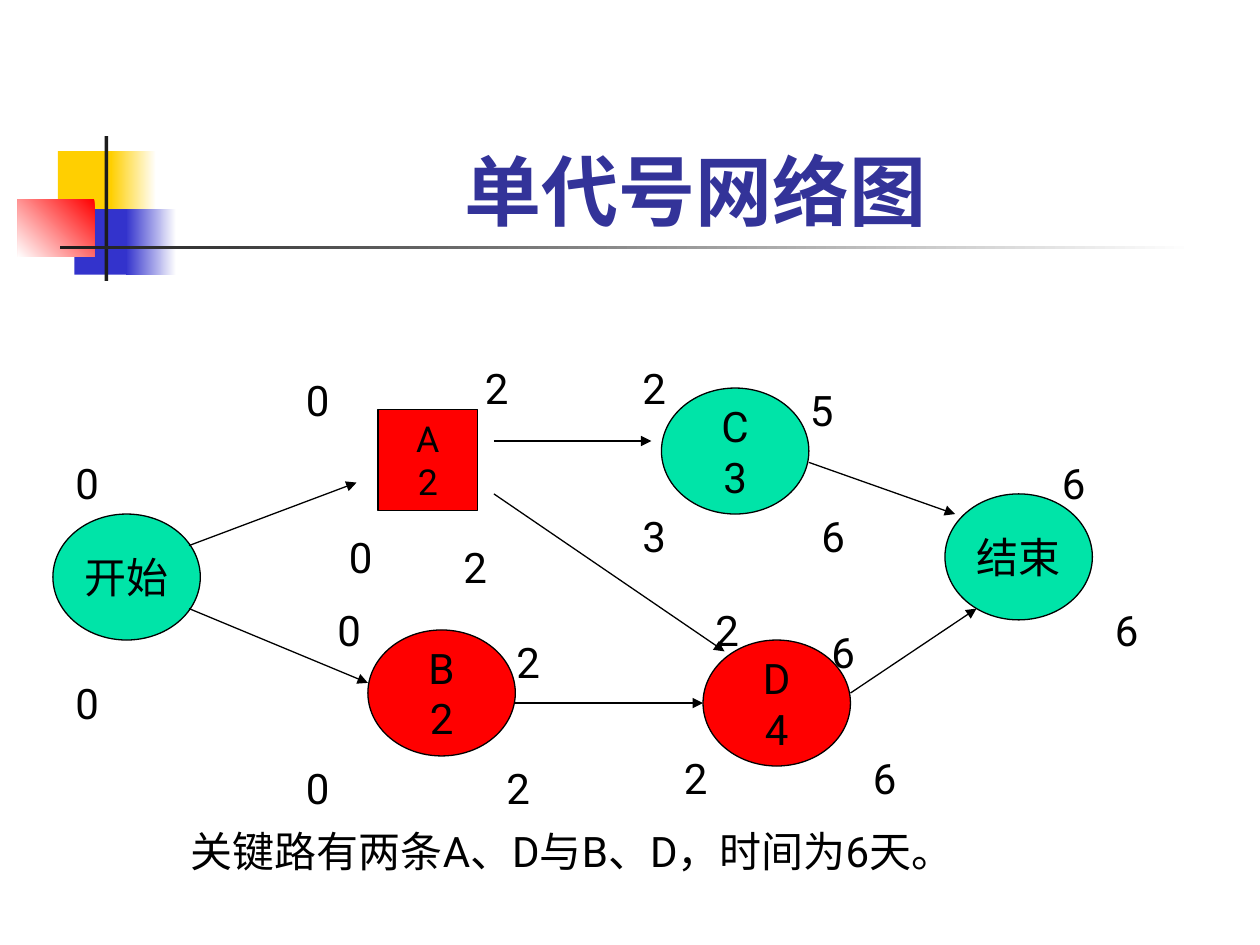
from lxml import etree
from pptx import Presentation
from pptx.dml.color import RGBColor
from pptx.enum.shapes import MSO_CONNECTOR, MSO_SHAPE
from pptx.enum.text import MSO_ANCHOR, PP_ALIGN
from pptx.oxml.ns import qn
from pptx.util import Inches, Pt

RECT, OVAL = MSO_SHAPE.RECTANGLE, MSO_SHAPE.OVAL
LEFT, CENTER = PP_ALIGN.LEFT, PP_ALIGN.CENTER
TOP, MIDDLE, BOTTOM = MSO_ANCHOR.TOP, MSO_ANCHOR.MIDDLE, MSO_ANCHOR.BOTTOM
STRAIGHT = MSO_CONNECTOR.STRAIGHT

FONT = "Roboto"
BLACK, WHITE, DARK = "000000", "FFFFFF", "1C1C1C"
RED, GREEN, NAVY = "FF0000", "00E4A8", "333399"
YELLOW, BLUE = "FFCF01", "3333CC"


def rgb(value):
    return RGBColor.from_string(value)


class Deck:
    def __init__(self, width, height):
        self.prs = Presentation()
        self.prs.slide_width = Inches(width)
        self.prs.slide_height = Inches(height)
        self.s = self.prs.slides.add_slide(self.prs.slide_layouts[6])

    def add_lines(self, tf, lines, size, color=BLACK, bold=False,
                  align=CENTER):
        for i, line in enumerate(lines):
            p = tf.paragraphs[0] if i == 0 else tf.add_paragraph()
            p.alignment = align
            r = p.add_run()
            r.text = line
            r.font.name = FONT
            r.font.size = Pt(size)
            r.font.bold = bold
            r.font.color.rgb = rgb(color)
            ea = etree.SubElement(r.font._element, qn("a:ea"))
            ea.set("typeface", FONT)

    def shape(self, kind, box, colors, angle=0):
        sp = self.s.shapes.add_shape(kind, *map(Inches, box))
        sp.shadow.inherit = False
        sp.line.fill.background()
        if len(colors) == 1:
            sp.fill.solid()
            sp.fill.fore_color.rgb = rgb(colors[0])
        else:
            sp.fill.gradient()
            sp.fill.gradient_angle = angle
            for stop, color in zip(sp.fill.gradient_stops, colors):
                stop.color.rgb = rgb(color)
        return sp

    def node(self, kind, box, fill, lines, size=24):
        sp = self.shape(kind, box, [fill])
        sp.line.color.rgb = rgb(BLACK)
        sp.line.width = Pt(0.75)
        tf = sp.text_frame
        tf.word_wrap = False
        tf.vertical_anchor = MIDDLE
        self.add_lines(tf, lines, size)

    def text(self, box, content, size=24, color=BLACK, bold=False,
             align=LEFT, anchor=TOP):
        tf = self.s.shapes.add_textbox(*map(Inches, box)).text_frame
        tf.word_wrap = True
        tf.vertical_anchor = anchor
        self.add_lines(tf, [content], size, color, bold, align)

    def arrow(self, start, end):
        c = self.s.shapes.add_connector(STRAIGHT, *map(Inches, start + end))
        c.line.color.rgb = rgb(BLACK)
        c.line.width = Pt(0.75)
        sp_pr = c._element.spPr
        ln = sp_pr.find(qn("a:ln"))
        etree.SubElement(ln, qn("a:tailEnd")).set("type", "triangle")
        etree.SubElement(sp_pr, qn("a:effectLst"))


def main():
    deck = Deck(10, 7.5)

    # Corner ornament and rule under the title
    for box, colors, angle in [
        ((0.46, 1.2, 0.48, 0.52), [YELLOW], 0),
        ((0.88, 1.2, 0.36, 0.52), [WHITE, YELLOW], 180),
        ((0.59, 1.66, 0.46, 0.52), [BLUE], 0),
        ((1, 1.66, 0.4, 0.52), [WHITE, BLUE], 180),
        ((0.14, 1.58, 0.61, 0.46), [RED, WHITE], 225),
        ((0.83, 1.08, 0.03, 1.15), [DARK], 0),
        ((0.48, 1.95, 9, 0.03), [WHITE, DARK], 180),
    ]:
        deck.shape(RECT, box, colors, angle)

    # Title
    deck.text((1.26, 0.67, 8.52, 1.25), "单代号网络图", 44, NAVY, True,
              CENTER, BOTTOM)

    # Activities
    for x, y, fill, lines in [
        (2.92, 5, RED, ["B", "2"]),
        (5.25, 3.08, GREEN, ["C", "3"]),
        (5.58, 5.08, RED, ["D", "4"]),
        (0.42, 4.08, GREEN, ["开始"]),
        (7.5, 3.92, GREEN, ["结束"]),
    ]:
        deck.node(OVAL, (x, y, 1.17, 1), fill, lines)
    deck.node(RECT, (3, 3.25, 0.79, 0.8), RED, ["A", "2"], 20.4)

    # Dependencies
    for start, end in [
        ((1.5, 4.33), (2.83, 3.83)),
        ((1.5, 4.83), (2.92, 5.42)),
        ((3.92, 3.5), (5.17, 3.5)),
        ((3.92, 3.92), (5.75, 5.17)),
        ((4.08, 5.58), (5.58, 5.58)),
        ((6.75, 5.5), (7.75, 4.83)),
        ((6.42, 3.67), (7.58, 4.08)),
    ]:
        deck.arrow(start, end)

    # Earliest and latest times: left, top, width, value
    for x, y, w, value in [
        (0.5, 3.58, 0.58, "0"), (2.33, 2.92, 0.5, "0"),
        (3.75, 2.83, 0.58, "2"), (5, 2.83, 0.5, "2"),
        (6.33, 3, 0.58, "5"), (2.58, 4.75, 0.5, "0"),
        (4, 5, 0.67, "2"), (5.58, 4.75, 0.58, "2"),
        (6.5, 4.92, 0.58, "6"), (8.33, 3.58, 0.58, "6"),
        (8.75, 4.75, 0.5, "6"), (6.83, 5.92, 0.5, "6"),
        (5.33, 5.92, 0.67, "2"), (6.42, 4, 0.42, "6"),
        (5, 4, 0.5, "3"), (3.92, 6, 0.5, "2"),
        (2.33, 6, 0.58, "0"), (3.58, 4.25, 0.5, "2"),
        (2.67, 4.17, 0.58, "0"), (0.5, 5.33, 0.5, "0"),
    ]:
        deck.text((x, y, w, 0.5), value)

    # Conclusion
    deck.text((1.08, 6.5, 6.92, 0.5), "关键路有两条A、D与B、D，时间为6天。",
              align=CENTER)

    deck.prs.save("out.pptx")


if __name__ == "__main__":
    main()
